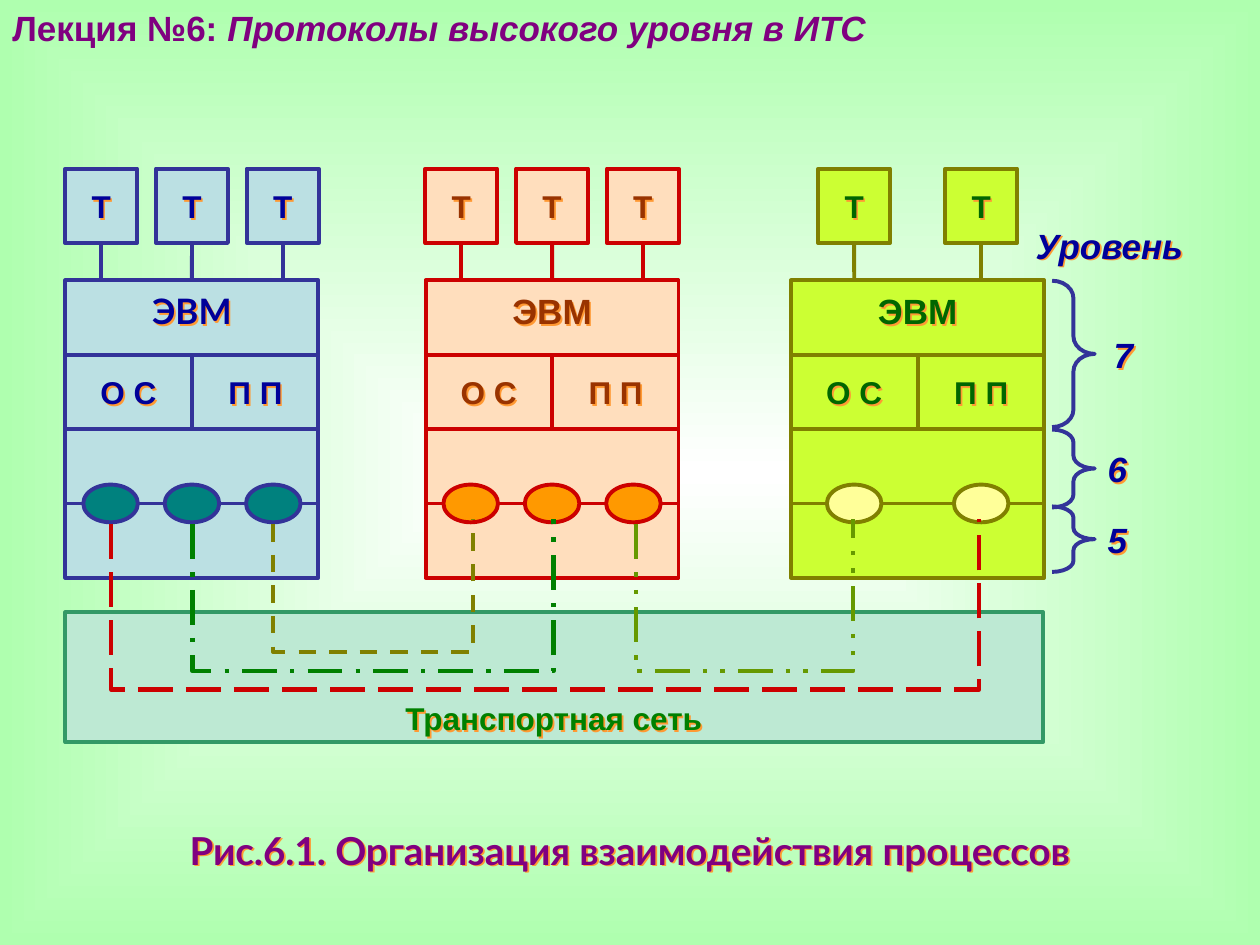
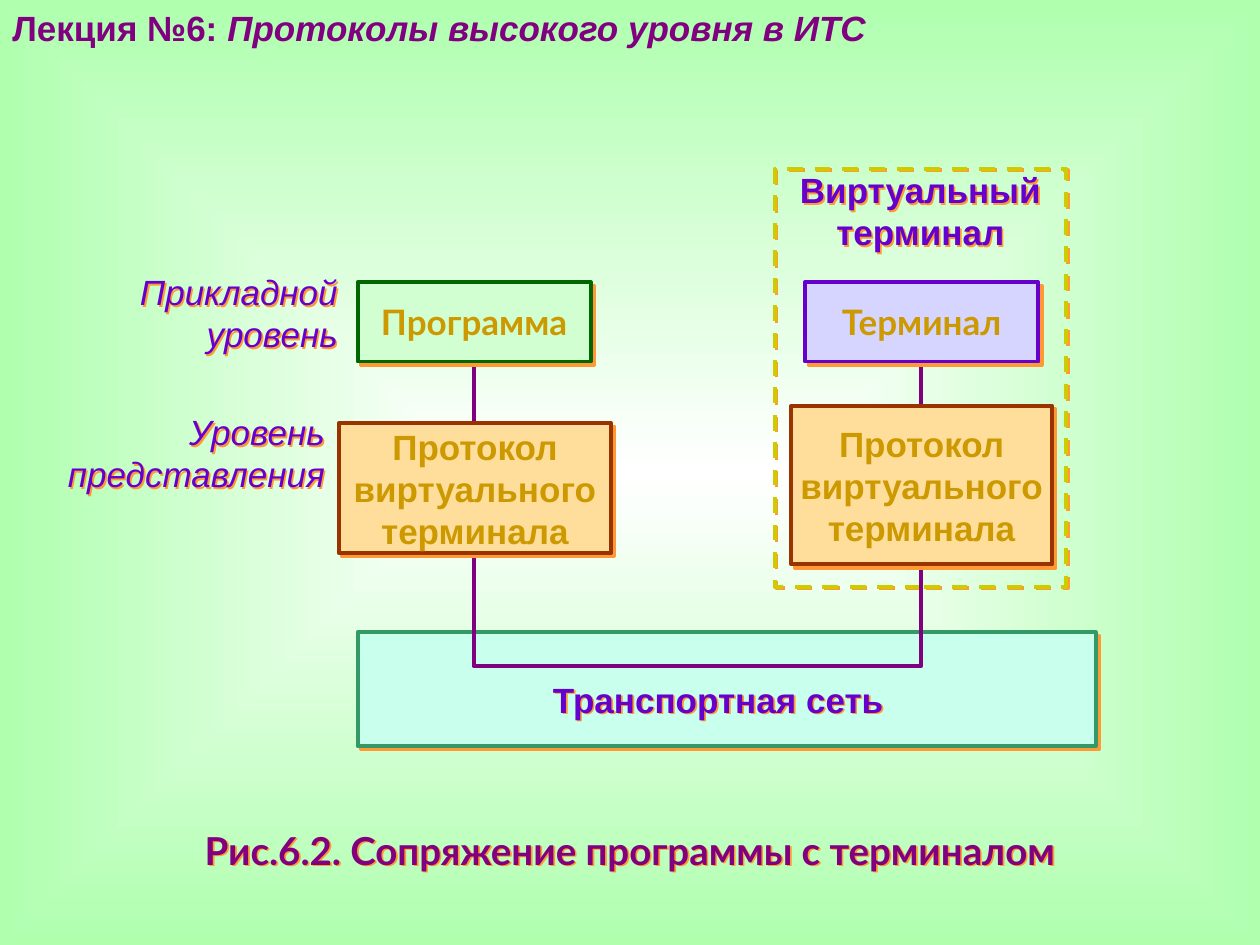
from pptx import Presentation, util as u
from pptx.dml import color as col
from pptx.enum import dml, shapes, text
from pptx.oxml import ns, parse_xml

KIND = shapes.MSO_SHAPE
DASH = dml.MSO_LINE
LEFT, MID, RIGHT = text.PP_ALIGN.LEFT, text.PP_ALIGN.CENTER, text.PP_ALIGN.RIGHT
PURPLE, NAVY, VIOLET, GOLD = "800080", "000099", "6600CC", "CC9900"
GLOW, TEAL, BLUE, OLIVE = "FF9933", "339966", "333399", "808000"
HOST_TOP, HOST_WIDE, ROW = 5.65, 5.1, 1.5
TERM_TOP, TERM_WIDE, TERM_HIGH = 3.4, 1.45, 1.5
PORT_WIDE, PORT_HIGH = 1.1, 0.76


def hue(code):
    """Turn a hex string into a colour."""
    return col.RGBColor.from_string(code)


def place(box):
    """Turn centimetres into lengths."""
    return [u.Cm(side) for side in box]


def spread(mid, count, gap):
    """Give the centres of equally spaced items around a middle."""
    return [mid + (num - (count - 1) / 2) * gap for num in range(count)]


def paint(slides):
    """Give all slides the shared gradient background."""
    fill = slides.slide_master.background.fill
    fill.gradient()
    for stop, code in zip(fill.gradient_stops, ("FFFFFF", "AFFFAF")):
        stop.color.rgb = hue(code)
    line = slides.slide_master.element.find(".//" + ns.qn("a:lin"))
    line.getparent().replace(line, parse_xml(
        f'<a:path {ns.nsdecls("a")} path="shape">'
        '<a:fillToRect l="50000" t="50000" r="50000" b="50000"/></a:path>'))


def shade(item, dist):
    """Set a hard diagonal shadow, or none for zero."""
    item.shadow.inherit = False
    if dist:
        item._element.spPr.find(ns.qn("a:effectLst")).append(parse_xml(
            f'<a:outerShdw {ns.nsdecls("a")} dist="{u.Pt(dist)}" dir="2700000" '
            f'algn="ctr" rotWithShape="0"><a:srgbClr val="{GLOW}"/></a:outerShdw>'))


def edge(item, code, width=2.25, dash=None):
    """Style an outline or a line."""
    item.line.color.rgb = hue(code)
    for name, value in {"width": u.Pt(width), "dash_style": dash}.items():
        setattr(item.line, name, value)


def style(run, code, form):
    """Set the font of a run."""
    for name, value in {"name": "Arial", "size": u.Pt(20), "bold": True, **form}.items():
        setattr(run.font, name, value)
    run.font.color.rgb = hue(code)


def write(item, words, code, align=MID, inset=0, anchor=text.MSO_ANCHOR.TOP, **form):
    """Fill a shape with one paragraph for each line of words."""
    frame = item.text_frame
    sides = {f"margin_{side}": u.Cm(inset) for side in ("left", "right")}
    ends = {f"margin_{side}": u.Cm(inset / 2) for side in ("top", "bottom")}
    looks = {"word_wrap": True, "vertical_anchor": anchor, **sides, **ends}
    for name, value in looks.items():
        setattr(frame, name, value)
    frame.text = words
    for para in frame.paragraphs:
        para.alignment = align
        style(para.runs[0], code, form)
    return frame


def label(slide, box, words, code, dist=1.4, **form):
    """Add a text box."""
    item = slide.shapes.add_textbox(*place(box))
    shade(item, dist)
    return write(item, words, code, **form)


def shape(slide, kind, box, fill, line, dist=0, dash=None):
    """Add a preset shape."""
    item = slide.shapes.add_shape(kind, *place(box))
    if fill:
        item.fill.solid()
        item.fill.fore_color.rgb = hue(fill)
    else:
        item.fill.background()
    edge(item, line, dash=dash)
    shade(item, dist)
    return item


def link(slide, ends, code, start=None, stop=None):
    """Add a straight line, joined to (shape, site) pairs if given."""
    item = slide.shapes.add_connector(shapes.MSO_CONNECTOR.STRAIGHT, *place(ends))
    if start:
        item.begin_connect(*start)
    if stop:
        item.end_connect(*stop)
    edge(item, code)
    item._element.spPr.append(parse_xml(f'<a:effectLst {ns.nsdecls("a")}/>'))


def wire(slide, left, right, tops, low, code, width=2.5, dash=None):
    """Add a U-shaped path between two points."""
    pen = slide.shapes.build_freeform(u.Cm(left), u.Cm(tops[0]))
    spots = [(left, low), (right, low), (right, tops[1])]
    pen.add_line_segments([place(spot) for spot in spots], close=False)
    item = pen.convert_to_shape()
    item.fill.background()
    edge(item, code, width, dash)
    shade(item, 0)


def host(slide, left, count, gaps, fill, line, port, ink, font="Arial"):
    """Add a computer with its terminals, layers and ports."""
    mid, right = left + HOST_WIDE / 2, left + HOST_WIDE
    body = shape(slide, KIND.RECTANGLE, (left, HOST_TOP, HOST_WIDE, 4 * ROW), fill, line)
    rows = [HOST_TOP + num * ROW for num in (1, 2, 3)]
    for num, row in enumerate(rows):
        joins = ((body, 1), (body, 3)) if num == 1 else ()
        link(slide, (left, row, right, row), line, *joins)
    link(slide, (mid, rows[1], mid, rows[0]), line)
    for spot in spread(mid, count, gaps[1]):
        box = (spot - PORT_WIDE / 2, rows[2] - PORT_HIGH / 2, PORT_WIDE, PORT_HIGH)
        shape(slide, KIND.OVAL, box, port, line)
    for spot in spread(mid, count, gaps[0]):
        box = (spot - TERM_WIDE / 2, TERM_TOP, TERM_WIDE, TERM_HIGH)
        term = shape(slide, KIND.RECTANGLE, box, fill, line)
        stop = (body, 0) if spot == mid else None
        link(slide, (spot, TERM_TOP + TERM_HIGH, spot, HOST_TOP), line, (term, 2), stop)
        label(slide, (spot - 0.37, 3.78, 0.74, 1.12), "Т", ink, size=u.Pt(18))
    label(slide, (mid - 0.92, 5.84, 1.84, 1.12), "ЭВМ", ink, name=font)
    for spot, words in zip(spread(mid, 2, 2.56), ("О С", "П П")):
        label(slide, (spot - 0.92, 7.52, 1.84, 1.12), words, ink, size=u.Pt(18))


def node(slide, box, words, fill, line, **form):
    """Add a shadowed box with centred text."""
    item = shape(slide, KIND.RECTANGLE, box, fill, line, 2.8)
    write(item, words, GOLD, anchor=text.MSO_ANCHOR.MIDDLE, **form)


def begin(slides, title):
    """Add a slide with the lecture heading and a figure caption."""
    slide = slides.slides.add_slide(slides.slide_layouts[6])
    frame = label(slide, (0, 0, 22.94, 1.1), "Лекция №6: ", PURPLE, 0, align=LEFT, inset=0.25)
    run = frame.paragraphs[0].add_run()
    run.text = "Протоколы высокого уровня в ИТС"
    style(run, PURPLE, {"italic": True})
    label(slide, (2.69, 16.54, 20.02, 1.19), title, PURPLE,
          inset=0.25, name="Lato", size=u.Pt(22))
    return slide


def draw_hosts(slides):
    """Build the slide on links between processes."""
    slide = begin(slides, "Рис.6.1. Организация взаимодействия процессов")
    shape(slide, KIND.RECTANGLE, (1.32, 12.34, 19.71, 2.62), "BDE9D3", TEAL)
    host(slide, 1.32, 3, (1.83, 1.64), "BBE0E3", BLUE, "00817E", NAVY, "Lato")
    host(slide, 8.58, 3, (1.83, 1.64), "FFDEBD", "CC0000", "FF9900", "993300")
    host(slide, 15.95, 2, (2.56, 2.56), "CCFF33", OLIVE, "FFFF99", "006600")
    for left, right, low, code, dash in (
            (3.88, 11.16, 13.53, "008000", DASH.LONG_DASH_DOT),
            (5.51, 9.53, 13.14, OLIVE, DASH.DASH),
            (2.24, 19.74, 13.9, "CC0000", DASH.LONG_DASH),
            (12.82, 17.2, 13.53, "669900", DASH.DASH_DOT_DOT)):
        wire(slide, left, right, (10.57, 10.47), low, code, dash=dash)
    for top, high, bend, words, spot in (
            (5.66, 2.95, 0.41, "7", (22.45, 6.73)),
            (8.66, 1.57, 0.3, "6", (22.33, 9.02)),
            (10.21, 1.32, 0.26, "5", (22.33, 10.46))):
        brace = shape(slide, KIND.RIGHT_BRACE, (21.21, top, 0.86, high), None, BLUE)
        brace.adjustments[0] = bend
        label(slide, (*spot, 0.74, 0.74), words, NAVY, align=LEFT, italic=True)
    label(slide, (20.65, 4.52, 3.43, 0.94), "Уровень", NAVY, italic=True)
    label(slide, (7.52, 14.1, 7.29, 0.94), "Транспортная сеть", "008000", size=u.Pt(18))


def draw_terms(slides):
    """Build the slide on a program and its virtual terminal."""
    slide = begin(slides, "Рис.6.2. Сопряжение программы с терминалом")
    shape(slide, KIND.RECTANGLE, (7.21, 12.75, 14.88, 2.29), "C9FFED", TEAL, 2.8)
    frame = shape(slide, KIND.RECTANGLE, (15.62, 3.4, 5.87, 8.43), None, "CCCC00",
                  1.4, DASH.DASH)
    write(frame, "Виртуальный\nтерминал", VIOLET)
    wire(slide, 9.55, 18.57, (7.04, 7.09), 13.43, PURPLE, 2.25)
    node(slide, (7.21, 5.69, 4.7, 1.6), "Программа", "D1FFD1", "006600", name="Lato")
    node(slide, (16.23, 5.69, 4.7, 1.6), "Терминал", "D5D5FF", VIOLET, name="Lato")
    for box in ((6.83, 8.53, 5.49, 2.62), (15.95, 8.18, 5.26, 3.2)):
        node(slide, box, "Протокол\nвиртуального\nтерминала", "FFDE9B", "993300")
    label(slide, (10.95, 13.67, 7.06, 1.02), "Транспортная сеть", VIOLET)
    for box, words in (((2.49, 5.46, 4.32, 2.29), "Прикладной\nуровень"),
                       ((1.19, 8.28, 5.36, 2.29), "Уровень\nпредставления")):
        label(slide, box, words, VIOLET, align=RIGHT, bold=False, italic=True)


def main():
    """Build and save the slides."""
    slides = Presentation()
    slides.slide_width, slides.slide_height = u.Cm(25.4), u.Cm(19.05)
    paint(slides)
    draw_hosts(slides)
    draw_terms(slides)
    slides.save("out.pptx")


if __name__ == "__main__":
    main()
